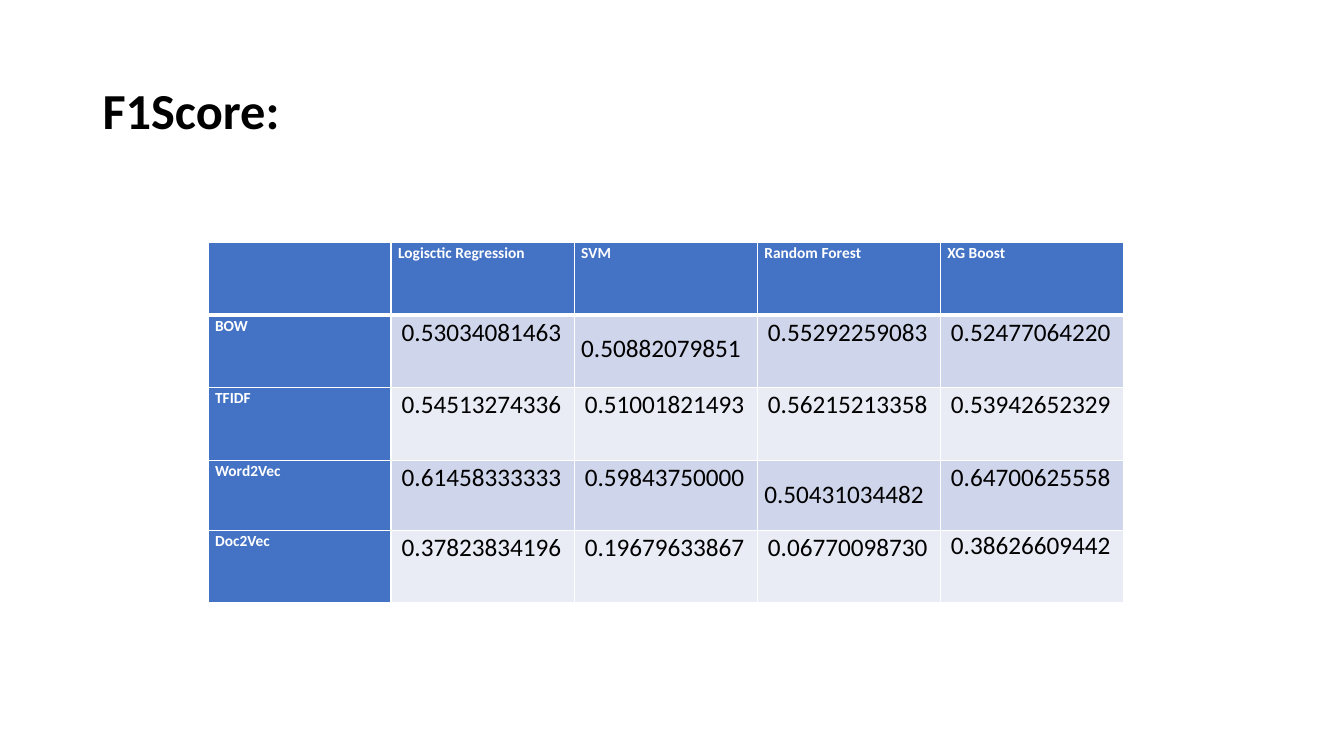
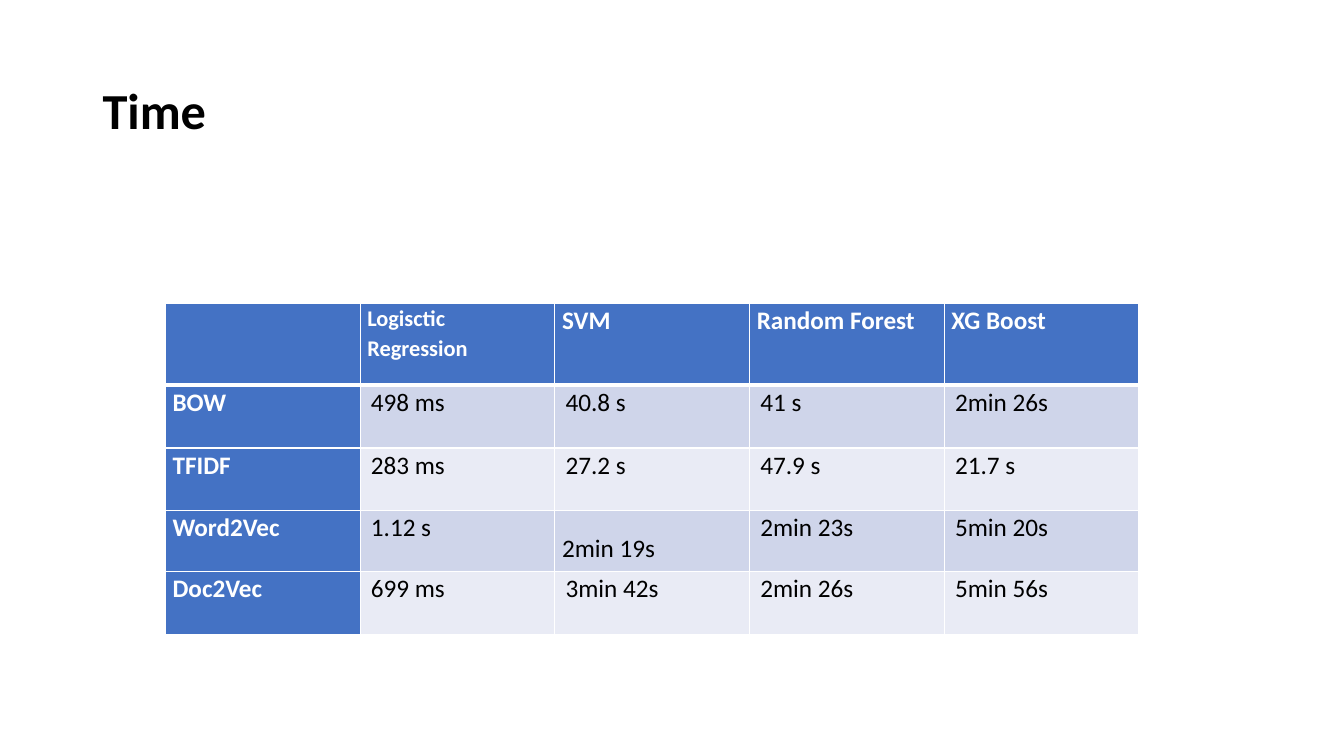
from lxml.etree import SubElement as Sub
from pptx import Presentation
from pptx.dml.color import RGBColor as Rgb
from pptx.enum.text import MSO_ANCHOR as Anchor, PP_ALIGN as Align
from pptx.oxml.ns import qn
from pptx.util import Cm, Pt

HUES = {"head": "4472C4", "odd": "CFD5EA", "even": "E9EBF5",
        "rule": "FFFFFF", "ink": "000000"}
FACE = "Calibri"
MODELS = ["Logisctic Regression", "SVM", "Random Forest", "XG Boost"]
TEXTS = ["BOW", "TFIDF", "Word2Vec", "Doc2Vec"]
SCORES = [
    ["0.53034081463", "0.50882079851", "0.55292259083", "0.52477064220"],
    ["0.54513274336", "0.51001821493", "0.56215213358", "0.53942652329"],
    ["0.61458333333", "0.59843750000", "0.50431034482", "0.64700625558"],
    ["0.37823834196", "0.19679633867", "0.06770098730", "0.38626609442"],
]
TIMES = [
    ["498 ms", "40.8 s", "41 s", "2min 26s"],
    ["283 ms", "27.2 s", "47.9 s", "21.7 s"],
    ["1.12 s", "2min 19s", "2min 23s", "5min 20s"],
    ["699 ms", "3min 42s", "2min 26s", "5min 56s"],
]
PAD = 0.18
INDENT = 0.27
LEADING = 1.07


def style(para, size, hue, bold, leading):
    para.line_spacing = leading
    font = para.font
    font.name, font.size, font.bold = FACE, Pt(size), bold
    font.color.rgb = Rgb.from_string(HUES[hue])


def add_title(slide, text, box):
    title = slide.shapes.title
    title.left, title.top, title.width, title.height = map(Cm, box)
    title.text_frame.text = text
    title.text_frame.vertical_anchor = Anchor.MIDDLE
    para = title.text_frame.paragraphs[0]
    para.alignment = Align.LEFT
    style(para, 36, "ink", True, 0.9)


def add_rules(cell, row):
    props = cell._tc.get_or_add_tcPr()
    widths = {"L": 1, "R": 1, "T": 3 if row == 1 else 1,
              "B": 3 if row == 0 else 1}
    for side, width in widths.items():
        line = Sub(props, qn(f"a:ln{side}"), w=str(Pt(width)))
        fill = Sub(line, qn("a:solidFill"))
        Sub(fill, qn("a:srgbClr"), val=HUES["rule"])


def fill_cell(cell, row, text, label, size, leading, drop):
    add_rules(cell, row)
    hue = "head" if label else "odd" if row % 2 else "even"
    cell.fill.solid()
    cell.fill.fore_color.rgb = Rgb.from_string(HUES[hue])
    cell.margin_left = Cm(PAD if label or drop else INDENT)
    cell.margin_right = Cm(PAD)
    cell.margin_top, cell.margin_bottom = Cm(drop), Cm(0)
    if text:
        cell.text = text
        style(cell.text_frame.paragraphs[0], size,
              "rule" if label else "ink", label, leading)


def add_grid(slide, values, box, heights, sizes, shifts):
    rows = [["", *MODELS]] + [[name, *line] for name, line in zip(TEXTS, values)]
    count = len(rows[0])
    table = slide.shapes.add_table(len(rows), count, *map(Cm, box)).table
    for col in table.columns:
        col.width = Cm(box[2] / count)
    for r, (line, height) in enumerate(zip(rows, heights)):
        table.rows[r].height = Cm(height)
        for c, text in enumerate(line):
            label = r == 0 or c == 0
            size = sizes.get(text, sizes["label"]) if label else 18
            leading, drop = shifts.get((r, c), (LEADING, 0))
            fill_cell(table.cell(r, c), r, text, label, size, leading, drop)


def add_page(deck, title, values, box, heights, sizes, shifts):
    slide = deck.slides.add_slide(deck.slide_layouts[5])
    add_title(slide, title, (2.33, 1.01, 29.21, 3.68))
    add_grid(slide, values, box, heights, sizes, shifts)


def main():
    deck = Presentation()
    deck.slide_width, deck.slide_height = Cm(33.87), Cm(19.05)
    add_page(deck, "F1Score:", SCORES, (5.24, 6.1, 23.07, 9.07),
             [1.84, 1.83, 1.83, 1.76, 1.83], {"label": 11},
             {(1, 2): (1, 0.47), (3, 3): (1, 0.47), (4, 4): (1, 0)})
    add_page(deck, "Time", TIMES, (4.17, 7.65, 24.54, 8.33),
             [2.06, 1.58, 1.58, 1.53, 1.58], {"label": 18, MODELS[0]: 16},
             {(3, 2): (LEADING, 0.51)})
    deck.save("out.pptx")


if __name__ == "__main__":
    main()
